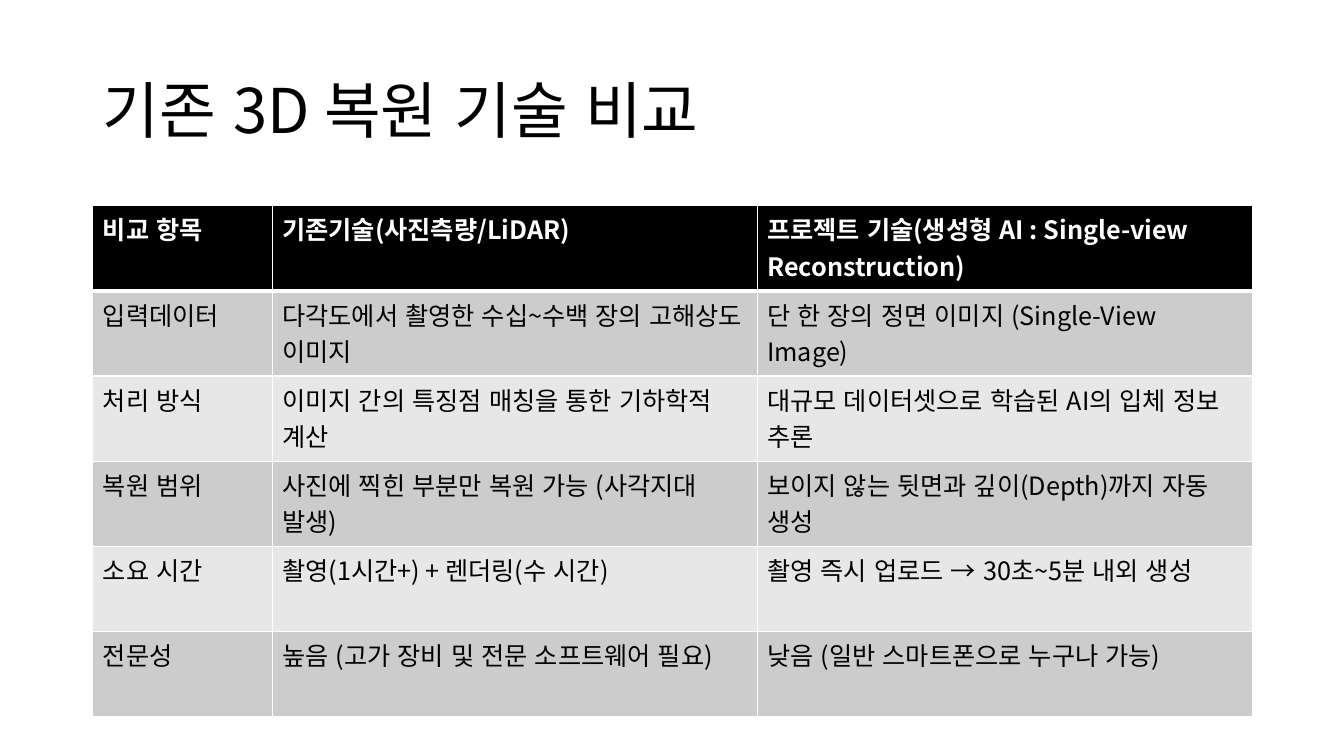
import pptx
import pptx.util
import pptx.dml.color
import pptx.enum.text
import pptx.enum.lang
import pptx.oxml
import pptx.oxml.ns
from pptx.util import Inches

THEME = {
    "font": "Noto Sans CJK KR",
    "title": {"size": 44, "color": "000000", "bold": False},
    "header": {"size": 18, "color": "FFFFFF", "bold": True},
    "body": {"size": 18, "color": "000000", "bold": False},
    "header_fill": "000000",
    "bands": ["CCCCCC", "E7E7E7"],
    "border": "FFFFFF",
}

ROWS = [
    ["비교 항목", "기존기술(사진측량/LiDAR)", "프로젝트 기술(생성형 AI : Single-view Reconstruction)"],
    ["입력데이터", "다각도에서 촬영한 수십~수백 장의 고해상도 이미지", "단 한 장의 정면 이미지 (Single-View Image)"],
    ["처리 방식", "이미지 간의 특징점 매칭을 통한 기하학적 계산", "대규모 데이터셋으로 학습된 AI의 입체 정보 추론"],
    ["복원 범위", "사진에 찍힌 부분만 복원 가능 (사각지대 발생)", "보이지 않는 뒷면과 깊이(Depth)까지 자동 생성"],
    ["소요 시간", "촬영(1시간+) + 렌더링(수 시간)", "촬영 즉시 업로드 → 30초~5분 내외 생성"],
    ["전문성", "높음 (고가 장비 및 전문 소프트웨어 필요)", "낮음 (일반 스마트폰으로 누구나 가능)"],
]
COL_WIDTHS = [1.78, 4.81, 4.91]
TABLE_HEIGHT = 5.07


def write_text(tf, text, style):
    p = tf.paragraphs[0]
    r = p.add_run()
    r.text = text
    formats = {
        "size": pptx.util.Pt(style["size"]),
        "bold": style["bold"],
        "name": THEME["font"],
        "language_id": pptx.enum.lang.MSO_LANGUAGE_ID.KOREAN,
    }
    for name, value in formats.items():
        setattr(r.font, name, value)
    r.font.color.rgb = pptx.dml.color.RGBColor.from_string(style["color"])
    ea = pptx.oxml.parse_xml(f'<a:ea {pptx.oxml.ns.nsdecls("a")} typeface="{THEME["font"]}"/>')
    r.font._element.append(ea)
    return p


def add_borders(cell, widths):
    tc_pr = cell._tc.get_or_add_tcPr()
    for side, width in widths.items():
        tc_pr.append(pptx.oxml.parse_xml(
            f'<a:ln{side} {pptx.oxml.ns.nsdecls("a")} w="{pptx.util.Pt(width)}">'
            f'<a:solidFill><a:srgbClr val="{THEME["border"]}"/></a:solidFill></a:ln{side}>'))


prs = pptx.Presentation()
prs.slide_width = Inches(13.33)
prs.slide_height = Inches(7.5)
s = prs.slides.add_slide(prs.slide_layouts[5])

title = s.shapes.title
box = {"left": 0.92, "top": 0.4, "width": 11.5, "height": 1.45}
for name, value in box.items():
    setattr(title, name, Inches(value))
tf = title.text_frame
tf.word_wrap = True
tf.vertical_anchor = pptx.enum.text.MSO_ANCHOR.MIDDLE
p = write_text(tf, "기존 3D 복원 기술 비교", THEME["title"])
p.alignment = pptx.enum.text.PP_ALIGN.LEFT
p.line_spacing = 0.9

table = s.shapes.add_table(len(ROWS), len(COL_WIDTHS), Inches(0.92), Inches(2.04),
                           Inches(sum(COL_WIDTHS)), Inches(TABLE_HEIGHT)).table
for col, width in zip(table.columns, COL_WIDTHS):
    col.width = Inches(width)

for i, texts in enumerate(ROWS):
    table.rows[i].height = Inches(TABLE_HEIGHT / len(ROWS))
    style = THEME["body"] if i else THEME["header"]
    fill = THEME["bands"][(i - 1) % 2] if i else THEME["header_fill"]
    widths = {"L": 1, "R": 1, "T": 3 if i == 1 else 1, "B": 1 if i else 3}
    for j, text in enumerate(texts):
        cell = table.cell(i, j)
        write_text(cell.text_frame, text, style)
        add_borders(cell, widths)
        cell.fill.solid()
        cell.fill.fore_color.rgb = pptx.dml.color.RGBColor.from_string(fill)

prs.save("out.pptx")
